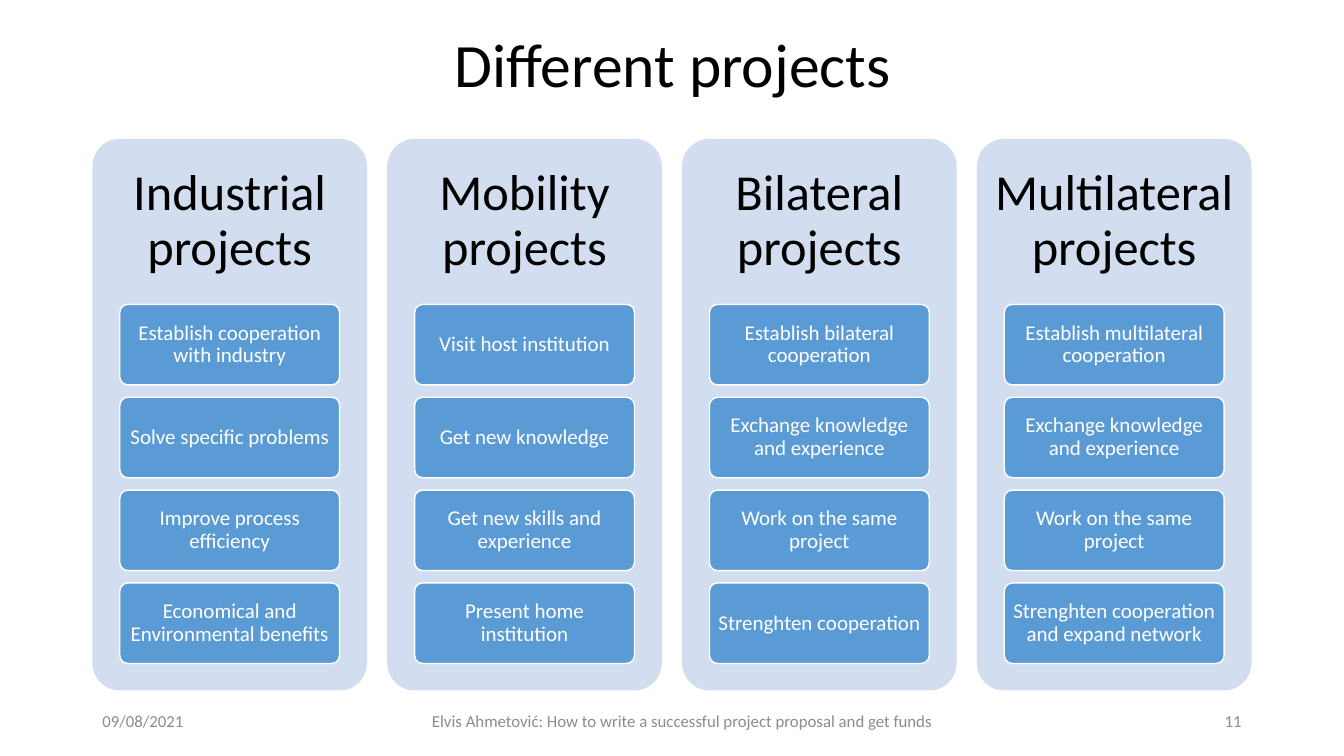
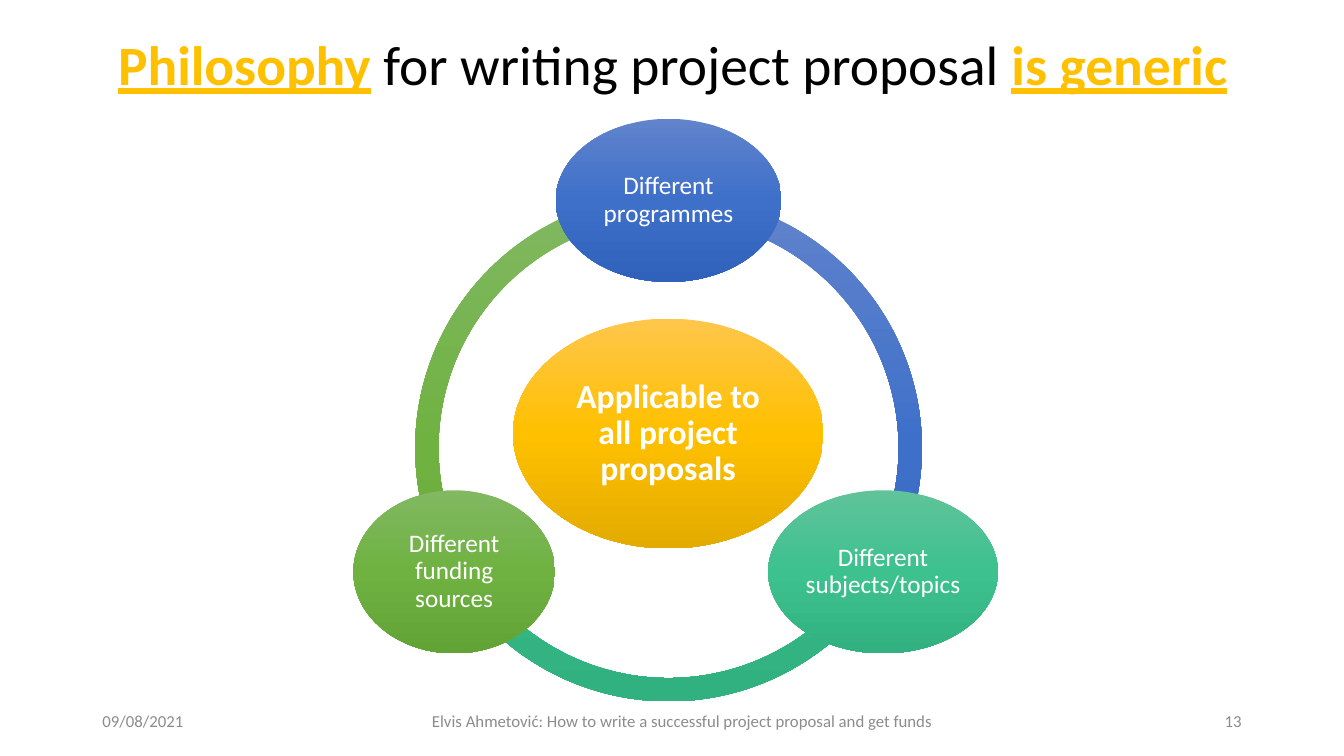
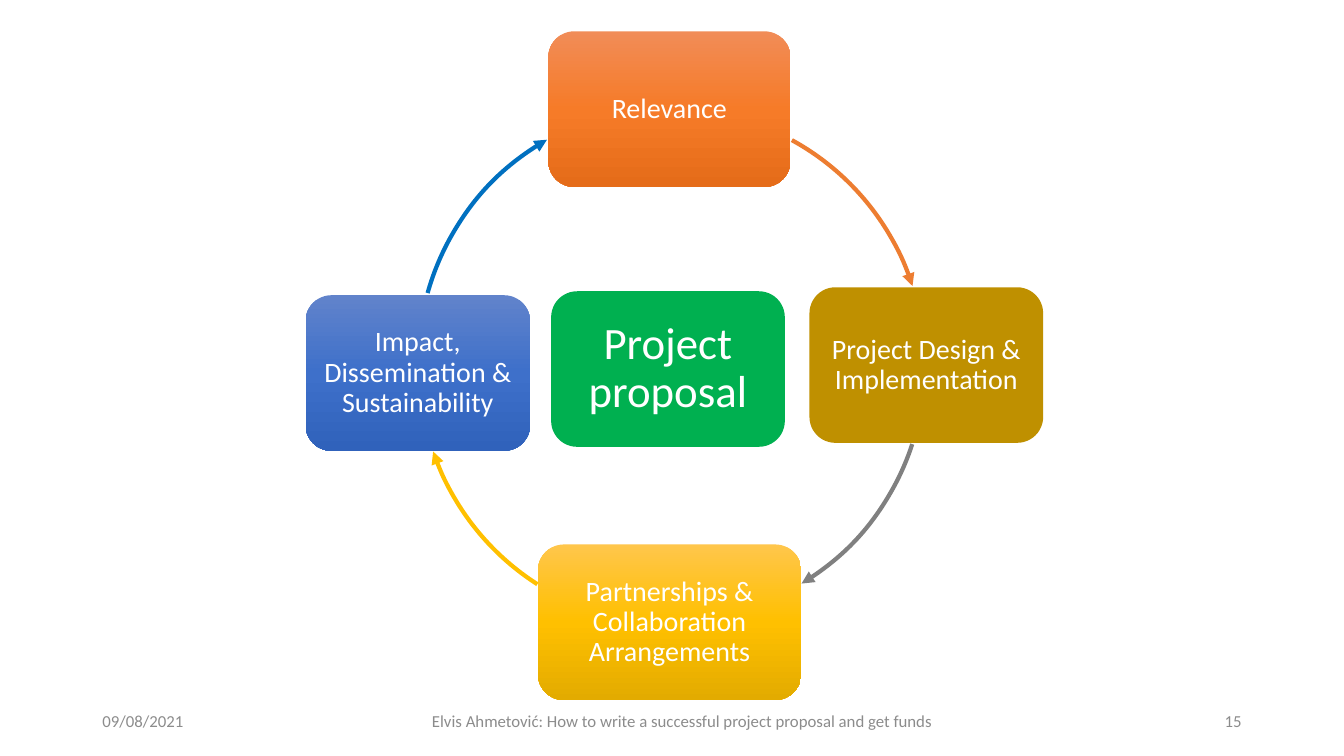
from copy import deepcopy
from math import cos, radians, sin

from lxml import etree
from pptx import Presentation
from pptx.dml.color import RGBColor
from pptx.enum.shapes import MSO_SHAPE
from pptx.enum.text import MSO_ANCHOR, PP_ALIGN
from pptx.oxml.ns import qn
from pptx.util import Cm, Pt

ROUND, OVAL = MSO_SHAPE.ROUNDED_RECTANGLE, MSO_SHAPE.OVAL
ARC, BAND = MSO_SHAPE.ARC, MSO_SHAPE.BLOCK_ARC
LEFT, CENTER, RIGHT = PP_ALIGN.LEFT, PP_ALIGN.CENTER, PP_ALIGN.RIGHT
MIDDLE = MSO_ANCHOR.MIDDLE

FONT = "Calibri"
BLACK, WHITE, GRAY, GOLD = "000000", "FFFFFF", "8C8C8C", "FFC000"
PALE, SKY, LIME, OCHRE = "D2DEEF", "5B9BD5", "00B050", "BF9000"
# Top, middle and bottom colour of each vertical gradient
BLUES = ("6183CB", "3E70CA", "3062BB")
TEALS = ("60C39A", "3DC18F", "31B080")
GREENS = ("81B861", "6FB242", "62A336")
GOLDS = ("FFC64B", "FFC000", "E3AB00")
REDS = ("F18C57", "F67B28", "E56C19")

DATE = "09/08/2021"
FOOTER = "Elvis Ahmetović: How to write a successful project proposal and get funds"

KINDS = [
    ("Industrial projects", [
        "Establish cooperation with industry", "Solve specific problems",
        "Improve process efficiency", "Economical and Environmental benefits"]),
    ("Mobility projects", [
        "Visit host institution", "Get new knowledge",
        "Get new skills and experience", "Present home institution"]),
    ("Bilateral projects", [
        "Establish bilateral cooperation", "Exchange knowledge and experience",
        "Work on the same project", "Strenghten cooperation"]),
    ("Multilateral projects", [
        "Establish multilateral cooperation", "Exchange knowledge and experience",
        "Work on the same project", "Strenghten cooperation and expand network"]),
]

# Title runs: text, stressed
CLAIM = [("Philosophy", True), (" for writing project proposal ", False),
         ("is generic", True)]
# Ring nodes: text, angle, width, colours; each band starts at its node
NODES = [
    ("Different funding sources", 150, 5.08, GREENS),
    ("Different subjects/topics", 30, 5.79, TEALS),
    ("Different programmes", 270, 5.69, BLUES),
]

# Cycle boxes: text, left, top, width, fill, size
STEPS = [
    ("Relevance", 13.82, 0.79, 6.1, REDS, 20),
    ("Project Design & Implementation", 20.4, 7.24, 5.89, OCHRE, 20),
    ("Partnerships & Collaboration Arrangements", 13.56, 13.72, 6.63, GOLDS, 20),
    ("Impact, Dissemination & Sustainability", 7.7, 7.44, 5.66, BLUES, 20),
    ("Project proposal", 13.89, 7.34, 5.89, LIME, 32),
]
# Cycle arrows: left, top, start angle, end angle, colour
ARROWS = [
    (10.41, 2.74, 298.7, 342.1, "ED7D31"),
    (10.41, 2.74, 18.1, 58.8, "808080"),
    (10.57, 2.84, 122.6, 161.1, GOLD),
    (10.54, 2.67, 195.6, 240.2, "0070C0"),
]


def rgb(code):
    return RGBColor.from_string(code)


def write(shape, runs, size, color, align=CENTER, space=0.9, inset=None):
    """Put one paragraph of (text, stressed) runs, or a plain string, in a shape."""
    frame = shape.text_frame
    frame.word_wrap = True
    frame.vertical_anchor = MIDDLE
    if inset is not None:
        frame.margin_left = frame.margin_right = Cm(inset)
        frame.margin_top = frame.margin_bottom = Cm(inset)
    para = frame.paragraphs[0]
    para.alignment = align
    para.line_spacing = space
    para.font.name = FONT
    para.font.size = Pt(size)
    para.font.color.rgb = rgb(color)
    if isinstance(runs, str):
        runs = [(runs, False)]
    for text, stress in runs:
        run = para.add_run()
        run.text = text
        if stress:
            run.font.bold = run.font.underline = True
            run.font.color.rgb = rgb(GOLD)
    return para


def label(slide, box, runs, size, color, **style):
    area = slide.shapes.add_textbox(*map(Cm, box))
    write(area, runs, size, color, **style)


def paint(shape, fill):
    """Fill with one colour, or with a vertical gradient of three."""
    if isinstance(fill, str):
        shape.fill.solid()
        shape.fill.fore_color.rgb = rgb(fill)
        return
    shape.fill.gradient()
    shape.fill.gradient_angle = 270
    stops = shape._element.spPr.find(".//" + qn("a:gsLst"))
    stops.insert(1, deepcopy(stops[0]))
    for stop, spot, color in zip(shape.fill.gradient_stops, (0, 0.5, 1), fill):
        stop.position = spot
        stop.color.rgb = rgb(color)


def draw(slide, kind, box, fill=None, adjust=()):
    shape = slide.shapes.add_shape(kind, *map(Cm, box))
    shape.shadow.inherit = False
    shape.line.fill.background()
    for i, value in enumerate(adjust):
        shape.adjustments[i] = value
    if fill:
        paint(shape, fill)
    else:
        shape.fill.background()
    return shape


def turn(angle):
    """Degrees as the adjustment value of an arc."""
    return angle * 0.6


def start(deck, number, title=None, size=44):
    slide = deck.slides.add_slide(deck.slide_layouts[6])
    for left, width, text, align in ((2.33, 3.04, DATE, LEFT),
                                     (5.37, 23.65, FOOTER, CENTER),
                                     (29.02, 2.52, str(number), RIGHT)):
        label(slide, (left, 17.65, width, 1.02), text, 12, GRAY,
              align=align, space=1.0)
    if title:
        label(slide, (1.93, 0.17, 30.05, 3.07), title, size, BLACK)
    return slide


def panels(deck):
    slide = start(deck, 11, "Different projects")
    for col, (head, items) in enumerate(KINDS):
        left, top, width = 2.33 + 7.43 * col, 3.5, 6.92
        draw(slide, ROUND, (left, top, width, 13.9), PALE, [0.1])
        label(slide, (left, top, width, 4.17), head, 36, BLACK, inset=0.38)
        for row, text in enumerate(items):
            box = (left + 0.69, 7.67 + 2.34 * row, 5.54, 2.03)
            card = draw(slide, ROUND, box, SKY, [0.1])
            card.line.color.rgb = rgb(WHITE)
            card.line.width = Pt(1)
            write(card, text, 15, WHITE, inset=0.09)


def ring(deck):
    slide = start(deck, 13, CLAIM, 39.6)
    mid_x, mid_y, side, reach, high = 16.85, 11.29, 12.77, 6.24, 4.11
    frame = (mid_x - side / 2, mid_y - side / 2, side, side)
    ends = [node[1] for node in NODES]
    for (_, angle, _, fill), end in zip(NODES, ends[-1:] + ends[:-1]):
        draw(slide, BAND, frame, fill, [turn(angle), turn(end), 0.046])
    core = draw(slide, OVAL, (12.93, 8.03, 7.82, 5.79), GOLDS)
    write(core, "Applicable to all project proposals", 24, WHITE,
          inset=0.08).font.bold = True
    for text, angle, width, fill in NODES:
        x = mid_x + reach * cos(radians(angle))
        y = mid_y + reach * sin(radians(angle))
        node = draw(slide, OVAL, (x - width / 2, y - high / 2, width, high), fill)
        write(node, text, 18, WHITE, inset=0.08)


def cycle(deck):
    slide = start(deck, 15)
    for text, left, top, width, fill, size in STEPS:
        step = draw(slide, ROUND, (left, top, width, 3.92), fill)
        write(step, text, size, WHITE, inset=0.19)
    for left, top, begin, end, color in ARROWS:
        arrow = draw(slide, ARC, (left, top, 12.9, 12.9),
                     adjust=[turn(begin), turn(end)])
        arrow.line.color.rgb = rgb(color)
        arrow.line.width = Pt(3)
        line = arrow._element.spPr.find(qn("a:ln"))
        etree.SubElement(line, qn("a:tailEnd"), type="triangle")


def main():
    deck = Presentation()
    deck.slide_width, deck.slide_height = Cm(33.87), Cm(19.05)
    for build in (panels, ring, cycle):
        build(deck)
    deck.save("out.pptx")


if __name__ == "__main__":
    main()
